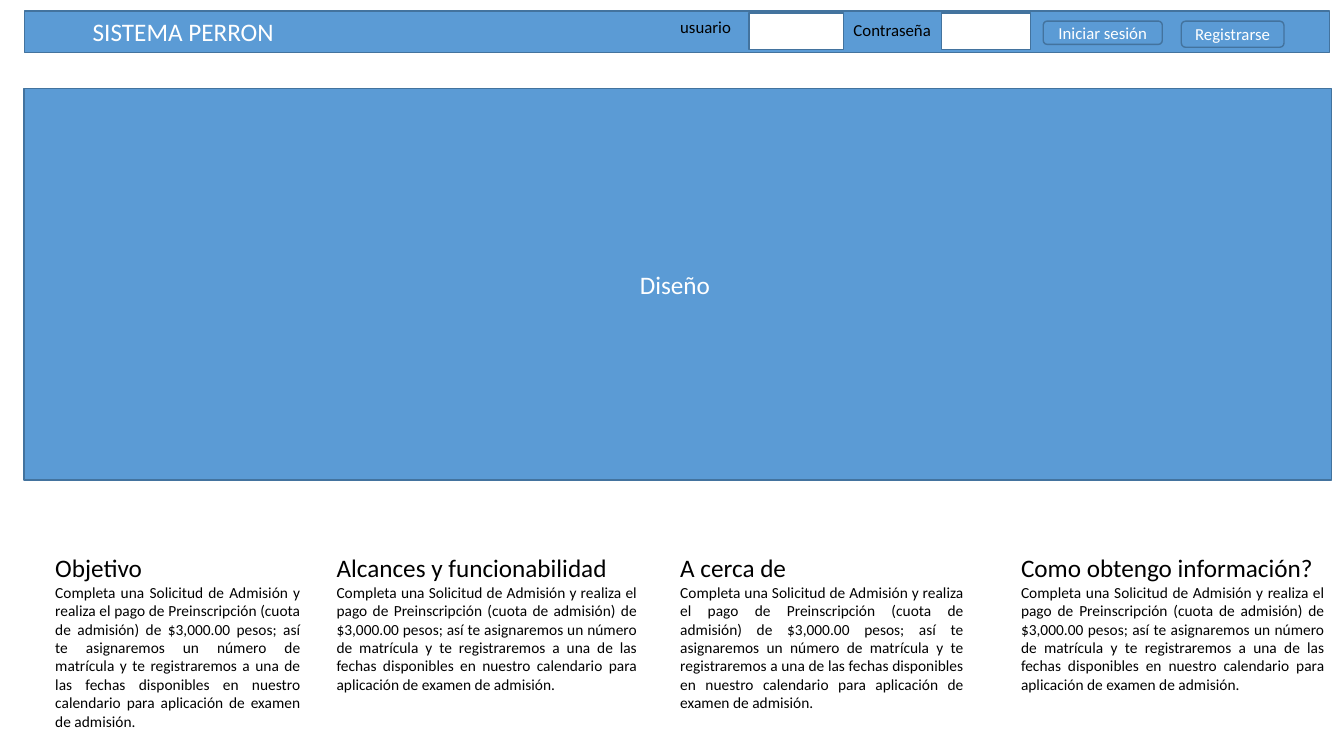
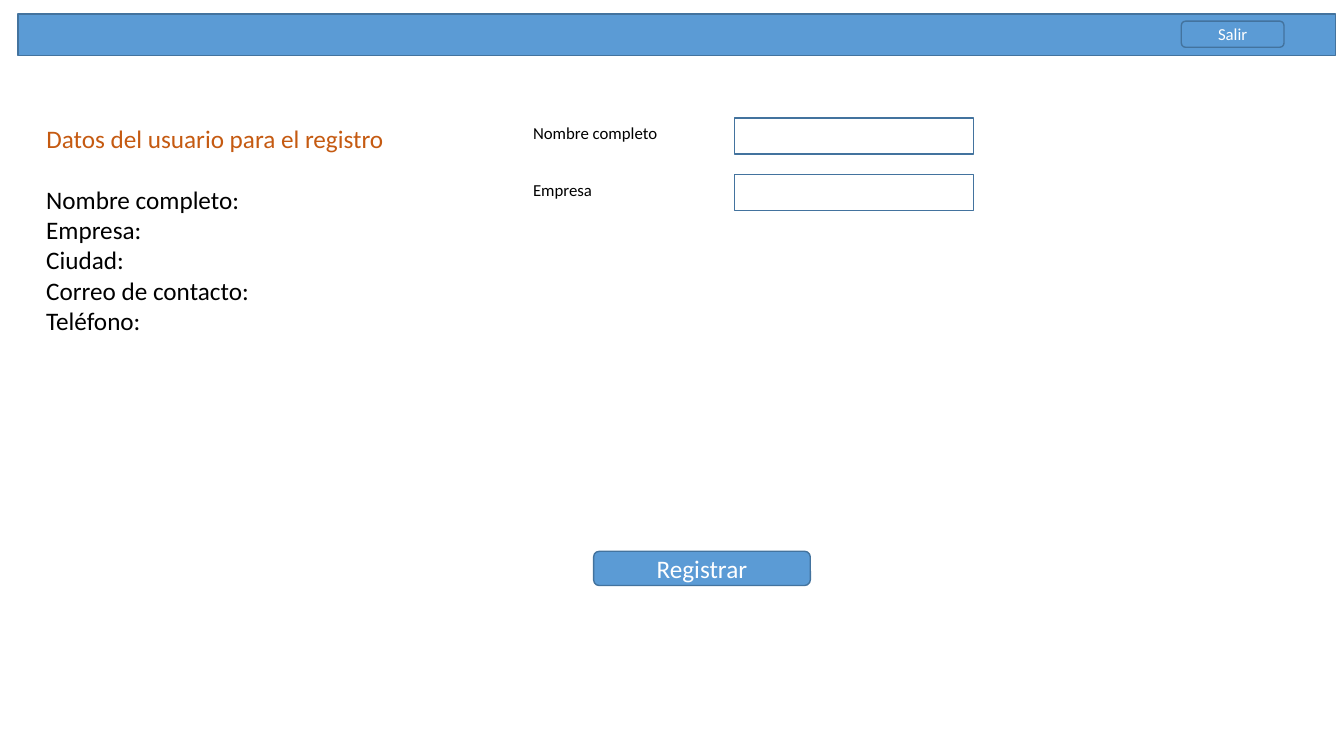
from pptx import Presentation
from pptx.dml.color import RGBColor
from pptx.enum import shapes as sh, text as tx
from pptx.util import Pt

BLUE, EDGE, WHITE, BLACK, RUST = "5B9BD5", "43739E", "FFFFFF", "000000", "C55A11"
FONT = "Calibri"
BIG, MID, SMALL = 18, 12, 11
RECT, ROUND = sh.MSO_SHAPE.RECTANGLE, sh.MSO_SHAPE.ROUNDED_RECTANGLE
LEFT, CENTER, JUST = tx.PP_ALIGN.LEFT, tx.PP_ALIGN.CENTER, tx.PP_ALIGN.JUSTIFY


def color(code):
    return RGBColor.from_string(code)


class Deck:
    """Holds the style and the current slide."""

    def __init__(self):
        self.prs = Presentation()
        self.prs.slide_width, self.prs.slide_height = Pt(960), Pt(540)
        self.slide = None

    def page(self, x, y, w):
        """Start a slide with its top band."""
        self.slide = self.prs.slides.add_slide(self.prs.slide_layouts[5])
        return self.box(x, y, w, 29.5)

    def style(self, para, size, code, align=LEFT):
        font = para.font
        font.name, font.size, font.color.rgb = FONT, Pt(size), color(code)
        para.alignment = align

    def title(self, words, x, y, w, h, code, band):
        """Place the title in front of the band."""
        item = self.slide.shapes.title
        band.element.addnext(item.element)
        item.left, item.top, item.width, item.height = map(Pt, (x, y, w, h))
        frame = item.text_frame
        frame.text = words
        frame.auto_size = tx.MSO_AUTO_SIZE.NONE
        frame.vertical_anchor = tx.MSO_ANCHOR.TOP
        self.style(frame.paragraphs[0], BIG, code)

    def box(self, x, y, w, h, words="", size=MID, kind=RECT, fill=BLUE):
        item = self.slide.shapes.add_shape(kind, *map(Pt, (x, y, w, h)))
        item.shadow.inherit = False
        item.fill.solid()
        item.fill.fore_color.rgb = color(fill)
        item.line.color.rgb = color(EDGE)
        item.line.width = Pt(1)
        if words:
            frame = item.text_frame
            frame.text = words
            frame.vertical_anchor = tx.MSO_ANCHOR.MIDDLE
            self.style(frame.paragraphs[0], size, WHITE, CENTER)
        return item

    def button(self, words, x, y, w, h, size=MID):
        self.box(x, y, w, h, words, size, ROUND)

    def field(self, x, y, w):
        self.box(x, y, w, 25.9, fill=WHITE)

    def text(self, x, y, w, h, *lines):
        """Each line is (words, size, alignment)."""
        item = self.slide.shapes.add_textbox(*map(Pt, (x, y, w, h)))
        frame = item.text_frame
        frame.word_wrap = True
        for i, (words, size, align) in enumerate(lines):
            para = frame.add_paragraph() if i else frame.paragraphs[0]
            para.text = words
            self.style(para, size, BLACK, align)


def home(deck):
    # Band with the sign-in form
    band = deck.page(17.3, 7.9, 932.4)
    deck.title("SISTEMA PERRON", 59, 7.9, 145, 28.8, WHITE, band)
    deck.text(478.8, 8.6, 100.8, 21.6, ("usuario", MID, LEFT))
    deck.text(602.6, 10.8, 113, 21.6, ("Contraseña", MID, LEFT))
    deck.field(535, 9.4, 67.7)
    deck.field(672.5, 9.4, 63.4)
    deck.button("Iniciar sesión", 745.2, 15.1, 85, 16.6)
    deck.button("Registrarse", 843.8, 15.1, 73.4, 18.7)

    # Main panel
    deck.box(17.3, 63.4, 933.8, 279.4, "Diseño ", BIG)

    # Columns
    body = ("Completa una Solicitud de Admisión y realiza el pago de "
            "Preinscripción (cuota de admisión) de $3,000.00 pesos; así te "
            "asignaremos un número de matrícula y te registraremos a una de "
            "las fechas disponibles en nuestro calendario para aplicación de "
            "examen de admisión.")
    for head, x, w in (("Objetivo", 32.4, 189.4),
                       ("Alcances y funcionabilidad", 233.3, 229),
                       ("A cerca de", 478.8, 216.7),
                       ("Como obtengo información?", 722.2, 231.1)):
        deck.text(x, 391, w, 135, (head, BIG, LEFT), (body, SMALL, JUST))


def signup(deck):
    band = deck.page(13, 10.1, 941)
    deck.button("Salir", 843.8, 15.1, 73.4, 18.7)
    deck.button("Registrar", 424, 393.8, 154.8, 24.5, BIG)

    # Required data
    top = 84.2
    deck.title("Datos del usuario para el registro", 25.9, top, 322, 29, RUST, band)
    names = ("Nombre completo:", "Empresa:", "Ciudad:", "Correo de contacto:",
             "Teléfono:")
    deck.text(25.9, top + 43.9, 322, 137, *((n, BIG, LEFT) for n in names))

    # Form rows
    for i, name in enumerate(("Nombre completo", "Empresa")):
        y = top + i * 40.3
        deck.text(373.7, y, 139, 21.6, (name, MID, LEFT))
        deck.field(524.9, y, 170.6)


def main():
    deck = Deck()
    home(deck)
    signup(deck)
    deck.prs.save("out.pptx")


if __name__ == "__main__":
    main()
